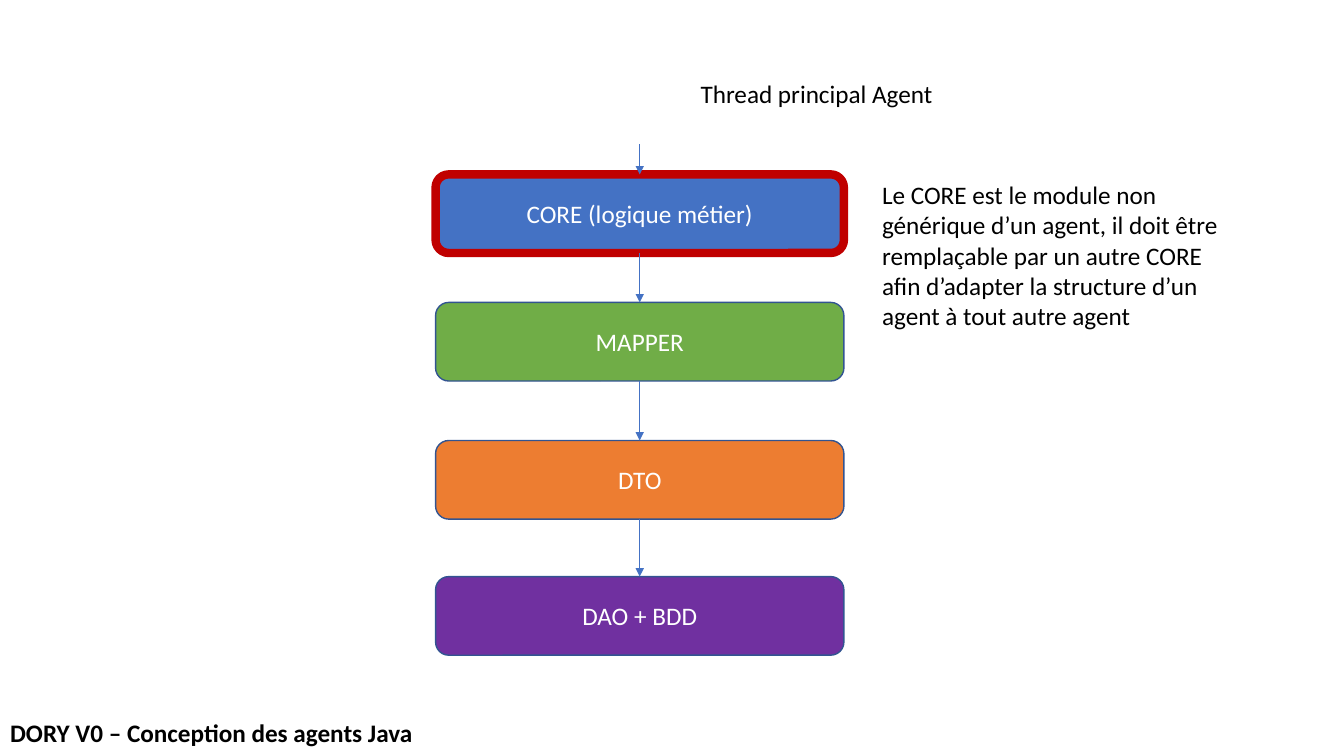
import pptx
import pptx.dml.color
import pptx.enum.shapes
import pptx.enum.text
import pptx.oxml
import pptx.oxml.ns
import pptx.util
from pptx.util import Inches

TITLE_ONLY_LAYOUT = 5


def color(value):
    """Turn a hex string into an RGB colour."""
    return pptx.dml.color.RGBColor.from_string(value)


class AgentSlide:
    """Holds the style and the current slide."""

    font = "Calibri"
    text_size = 18
    dark = "000000"
    light = "FFFFFF"
    outline = "325491"
    arrow_color = "4472C4"

    def __init__(self, presentation):
        """Add a slide that carries only a title."""
        layout = presentation.slide_layouts[TITLE_ONLY_LAYOUT]
        self.slide = presentation.slides.add_slide(layout)

    def set_text(self, shape, text, text_color, align, anchor, bold=False):
        """Put one formatted paragraph into a shape."""
        frame = shape.text_frame
        frame.text = text
        frame.word_wrap = True
        frame.auto_size = pptx.enum.text.MSO_AUTO_SIZE.NONE
        frame.vertical_anchor = anchor
        paragraph = frame.paragraphs[0]
        paragraph.alignment = align
        paragraph.line_spacing = 1.0
        paragraph.space_before = pptx.util.Pt(0)
        font = paragraph.runs[0].font
        font.name = self.font
        font.size = pptx.util.Pt(self.text_size)
        font.bold = bold
        font.color.rgb = color(text_color)

    def set_plain_text(self, shape, text, bold=False):
        """Set dark text from the top left corner of a shape."""
        self.set_text(shape, text, self.dark, pptx.enum.text.PP_ALIGN.LEFT,
                      pptx.enum.text.MSO_ANCHOR.TOP, bold)

    def title(self, text, left, top, width, height):
        """Move the title placeholder and fill it."""
        shape = self.slide.shapes.title
        shape.left, shape.top = Inches(left), Inches(top)
        shape.width, shape.height = Inches(width), Inches(height)
        self.set_plain_text(shape, text, bold=True)

    def label(self, text, left, top, width, height):
        """Add a text box."""
        shape = self.slide.shapes.add_textbox(
            Inches(left), Inches(top), Inches(width), Inches(height))
        self.set_plain_text(shape, text)

    def module(self, text, left, top, width, height, fill, line, line_width):
        """Add a rounded module box and return it."""
        shape = self.slide.shapes.add_shape(
            pptx.enum.shapes.MSO_SHAPE.ROUNDED_RECTANGLE,
            Inches(left), Inches(top), Inches(width), Inches(height))
        shape.shadow.inherit = False
        shape.fill.solid()
        shape.fill.fore_color.rgb = color(fill)
        shape.line.color.rgb = color(line)
        shape.line.width = pptx.util.Pt(line_width)
        self.set_text(shape, text, self.light, pptx.enum.text.PP_ALIGN.CENTER,
                      pptx.enum.text.MSO_ANCHOR.MIDDLE)
        return shape

    def arrow(self, x, start, end, source=None, target=None):
        """Add a downward arrow, glued to the modules it joins."""
        connector = self.slide.shapes.add_connector(
            pptx.enum.shapes.MSO_CONNECTOR.STRAIGHT,
            Inches(x), Inches(start), Inches(x), Inches(end))
        if source is not None:
            connector.begin_connect(source, 2)
        if target is not None:
            connector.end_connect(target, 0)
        connector.line.color.rgb = color(self.arrow_color)
        connector.line.width = pptx.util.Pt(0.5)
        namespace = pptx.oxml.ns.nsdecls("a")
        properties = connector.element.spPr
        outline = properties.find(pptx.oxml.ns.qn("a:ln"))
        outline.append(pptx.oxml.parse_xml(
            f'<a:tailEnd {namespace} type="triangle"/>'))
        properties.append(pptx.oxml.parse_xml(f'<a:effectLst {namespace}/>'))


def main():
    """Build the agent design slide."""
    presentation = pptx.Presentation()
    presentation.slide_width = Inches(13.33)
    presentation.slide_height = Inches(7.5)
    page = AgentSlide(presentation)

    page.title("DORY V0 – Conception des agents Java", 0, 7.07, 5.3, 0.4)
    page.label("Thread principal Agent", 6.85, 0.73, 2.6, 0.4)

    left, width, height = 4.32, 4.05, 0.78
    center = left + width / 2
    modules = [
        ("CORE (logique métier)", 1.73, "4472C4", "C00000", 6),
        ("MAPPER", 3, "70AD47", page.outline, 1),
        ("DTO", 4.37, "ED7D31", page.outline, 1),
        ("DAO + BDD", 5.72, "7030A0", page.outline, 1),
    ]
    boxes = [page.module(text, left, top, width, height, fill, line, line_width)
             for text, top, fill, line, line_width in modules]

    previous, start = None, 1.43
    for box, (_, top, *_) in zip(boxes, modules):
        page.arrow(center, start, top, previous, box)
        previous, start = box, top + height

    page.label("Le CORE est le module non générique d’un agent, il doit être "
               "remplaçable par un autre CORE afin d’adapter la structure "
               "d’un agent à tout autre agent", 8.65, 1.73, 3.58, 1.62)

    presentation.save("out.pptx")


main()
